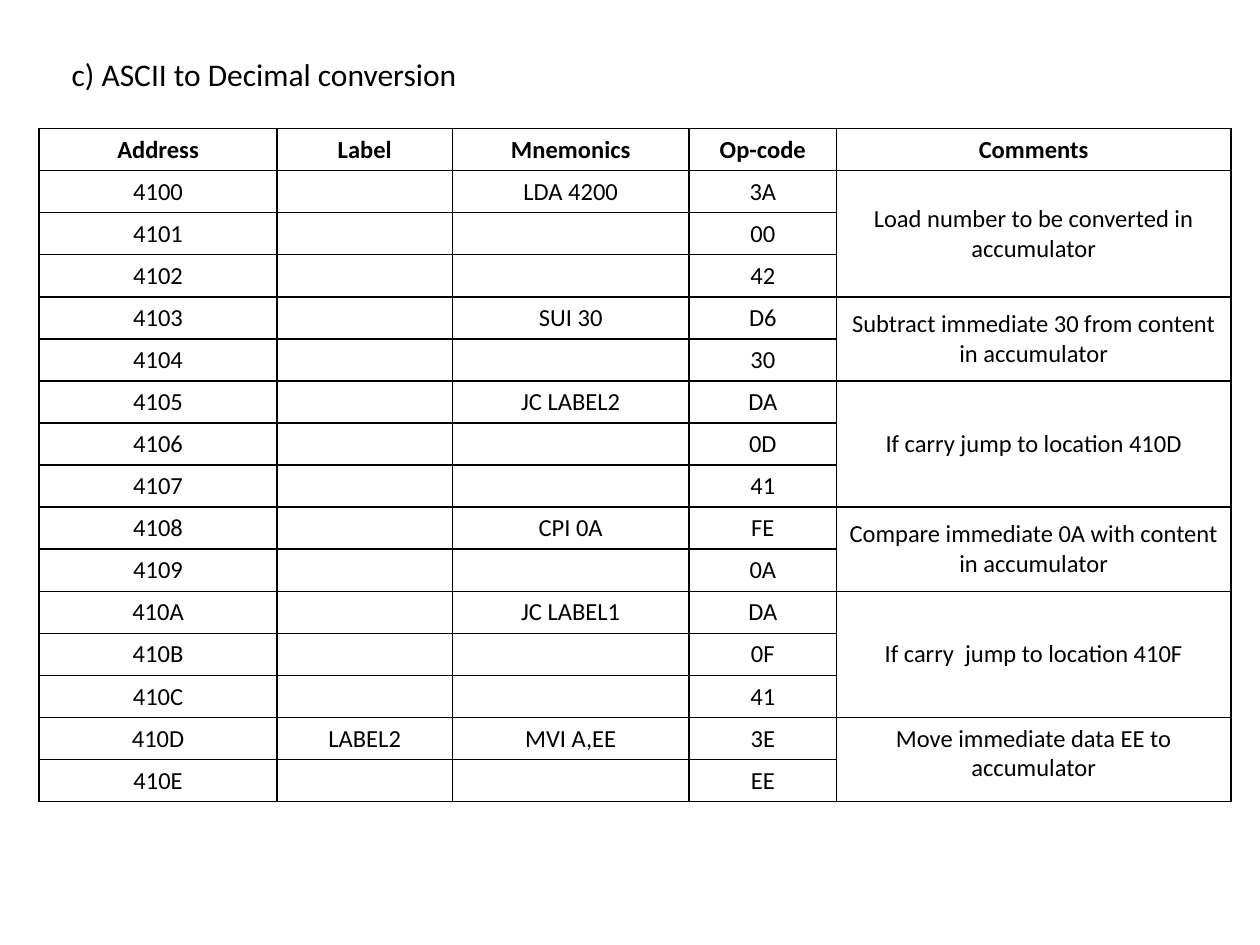
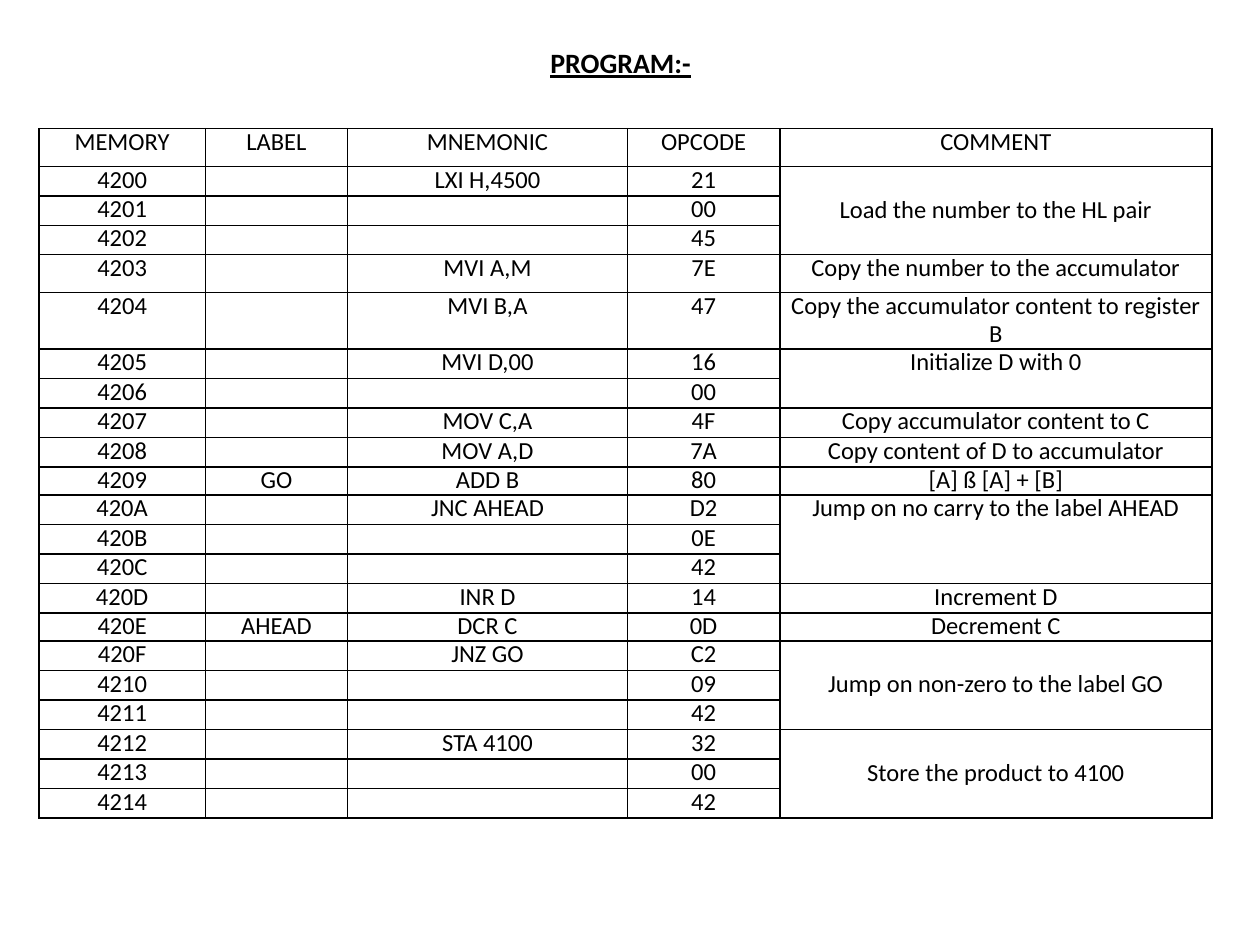
from typing import NamedTuple

from lxml import etree
from pptx import Presentation
from pptx import util as u
from pptx.dml.color import RGBColor
from pptx.enum import text as t
from pptx.oxml import ns

BLACK = RGBColor(0x00, 0x00, 0x00)
WHITE = RGBColor(0xFF, 0xFF, 0xFF)
FONT = "Calibri"
CELL_SIZE = 14
TABLE_LEFT, TABLE_TOP = 0.31, 1.02
TOP, MIDDLE = t.MSO_ANCHOR.TOP, t.MSO_ANCHOR.MIDDLE
LEFT, CENTER = t.PP_ALIGN.LEFT, t.PP_ALIGN.CENTER


class Instruction(NamedTuple):
    label: str
    mnemonic: str
    opcodes: str
    comment: str
    anchor: int = TOP


ASCII_HEADER = ["Address", "Label", "Mnemonics", "Op-code", "Comments"]
ASCII_PROGRAM = [
    Instruction("", "LDA 4200", "3A 00 42", "Load number to be converted in accumulator", MIDDLE),
    Instruction("", "SUI 30", "D6 30", "Subtract immediate 30 from content in accumulator", MIDDLE),
    Instruction("", "JC LABEL2", "DA 0D 41", "If carry jump to location 410D", MIDDLE),
    Instruction("", "CPI 0A", "FE 0A", "Compare immediate 0A with content in accumulator", MIDDLE),
    Instruction("", "JC LABEL1", "DA 0F 41", "If carry  jump to location 410F", MIDDLE),
    Instruction("LABEL2", "MVI A,EE", "3E EE", "Move immediate data EE to accumulator"),
]

PRODUCT_HEADER = ["MEMORY", "LABEL", "MNEMONIC", "OPCODE", "COMMENT"]
PRODUCT_PROGRAM = [
    Instruction("", "LXI H,4500", "21 00 45", "Load the number to the HL pair", MIDDLE),
    Instruction("", "MVI A,M", "7E", "Copy the number to the accumulator"),
    Instruction("", "MVI B,A", "47", "Copy the accumulator content to register B"),
    Instruction("", "MVI D,00", "16 00", "Initialize D with 0"),
    Instruction("", "MOV C,A", "4F", "Copy accumulator content to C"),
    Instruction("", "MOV A,D", "7A", "Copy content of D to accumulator"),
    Instruction("GO", "ADD B", "80", "[A] ß [A] + [B]"),
    Instruction("", "JNC AHEAD", "D2 0E 42", "Jump on no carry to the label AHEAD"),
    Instruction("", "INR D", "14", "Increment D"),
    Instruction("AHEAD", "DCR C", "0D", "Decrement C"),
    Instruction("", "JNZ GO", "C2 09 42", "Jump on non-zero to the label GO", MIDDLE),
    Instruction("", "STA 4100", "32 00 42", "Store the product to 4100", MIDDLE),
]


def write_text(frame, text, size=CELL_SIZE, bold=False, underline=False,
               align=CENTER, spacing=None):
    para = frame.paragraphs[0]
    para.alignment = align
    if not text:
        end = etree.SubElement(para._p, ns.qn("a:endParaRPr"))
        end.set("sz", str(size * 100))
        return
    if spacing:
        para.line_spacing = u.Pt(spacing)
    span = para.add_run()
    span.text = text
    font = span.font
    font.name, font.size = FONT, u.Pt(size)
    font.bold, font.underline = bold, underline
    font.color.rgb = BLACK


def add_title(page, text, left, top, width, height, wrap=True, **style):
    box = page.shapes.add_textbox(*map(u.Inches, (left, top, width, height)))
    box.text_frame.word_wrap = wrap
    write_text(box.text_frame, text, **style)


def add_borders(cell):
    properties = cell._tc.get_or_add_tcPr()
    for position, side in enumerate(("lnL", "lnR", "lnT", "lnB")):
        line = etree.Element(ns.qn(f"a:{side}"), w=str(u.Pt(1)))
        fill = etree.SubElement(line, ns.qn("a:solidFill"))
        etree.SubElement(fill, ns.qn("a:srgbClr"), val=str(BLACK))
        properties.insert(position, line)


def program_rows(start, program):
    address = start
    for step in program:
        for index, opcode in enumerate(step.opcodes.split()):
            first = index == 0
            yield [f"{address:X}", step.label if first else "",
                   step.mnemonic if first else "", opcode,
                   step.comment if first else ""]
            address += 1


def add_listing(page, header, start, program, widths, heights,
                bold_header=False, margins=None, spacing=None):
    rows = [header, *program_rows(start, program)]
    frame = page.shapes.add_table(
        len(rows), len(header), u.Inches(TABLE_LEFT), u.Inches(TABLE_TOP),
        u.Inches(sum(widths)), u.Inches(sum(heights)))
    table = frame.table
    table.first_row = table.horz_banding = False
    for column, width in zip(table.columns, widths):
        column.width = u.Inches(width)
    for row, height in zip(table.rows, heights):
        row.height = u.Inches(height)

    for row_index, values in enumerate(rows):
        for column_index, value in enumerate(values):
            cell = table.cell(row_index, column_index)
            cell.fill.solid()
            cell.fill.fore_color.rgb = WHITE
            add_borders(cell)
            if margins:
                side, edge = map(u.Inches, margins)
                cell.margin_left = cell.margin_right = side
                cell.margin_top = cell.margin_bottom = edge
            write_text(cell.text_frame, value, spacing=spacing,
                       bold=bold_header and row_index == 0)

    comment_column = len(header) - 1
    row_index = 1
    for step in program:
        count = len(step.opcodes.split())
        comment = table.cell(row_index, comment_column)
        comment.vertical_anchor = step.anchor
        if count > 1:
            comment.merge(table.cell(row_index + count - 1, comment_column))
        row_index += count


def main():
    deck = Presentation()
    deck.slide_width, deck.slide_height = u.Inches(10), u.Inches(7.5)
    blank = deck.slide_layouts[6]

    page = deck.slides.add_slide(blank)
    add_title(page, "c) ASCII to Decimal conversion", 0.47, 0.39, 3.29, 0.4,
              wrap=False, size=18, align=LEFT)
    add_listing(page, ASCII_HEADER, 0x4100, ASCII_PROGRAM,
                widths=[1.89, 1.39, 1.88, 1.17, 3.13],
                heights=[5.33 / 16] * 16, bold_header=True)

    page = deck.slides.add_slide(blank)
    add_listing(page, PRODUCT_HEADER, 0x4200, PRODUCT_PROGRAM,
                widths=[1.32, 1.13, 2.22, 1.21, 3.43],
                heights=[0.3] + [0.22] * 3 + [0.3] * 2 + [0.22] * 16,
                margins=(0.05, 0), spacing=16.1)
    add_title(page, "PROGRAM:-", 3.83, 0.31, 2.19, 0.37,
              size=16, bold=True, underline=True)

    deck.save("out.pptx")


if __name__ == "__main__":
    main()
